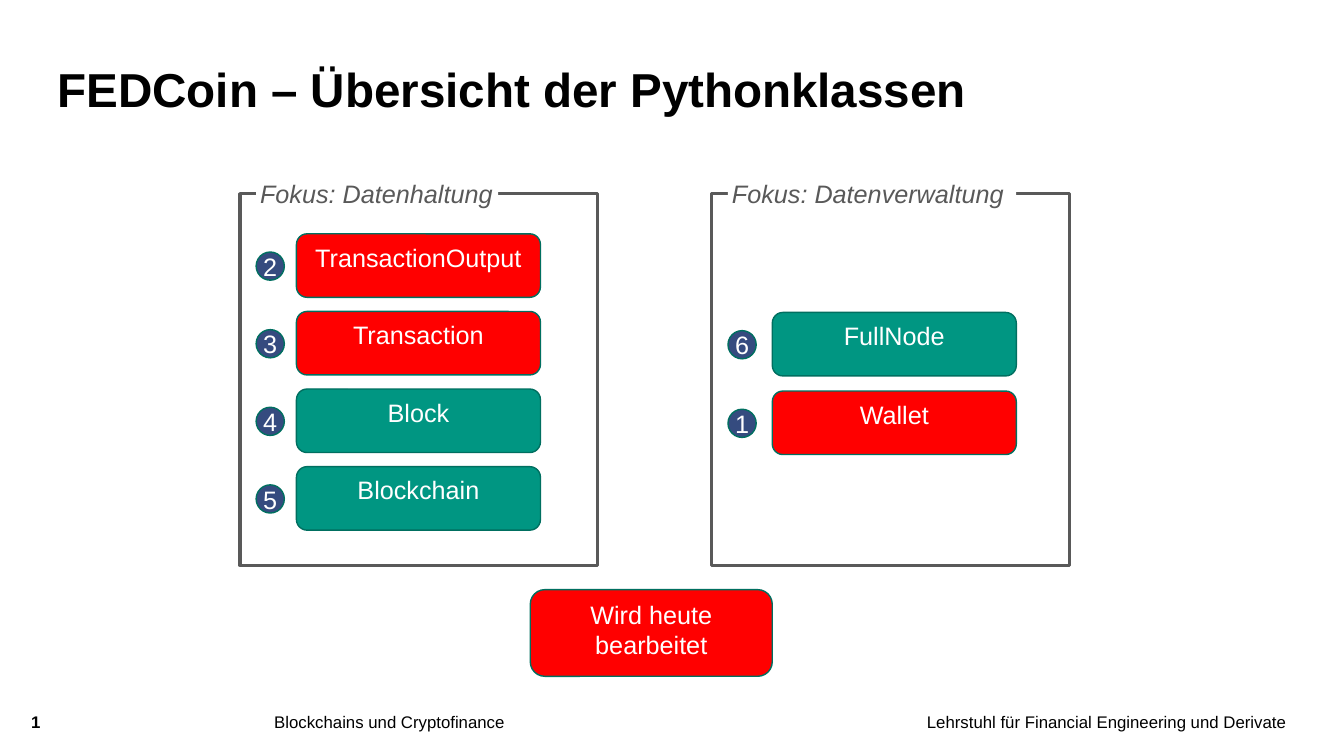
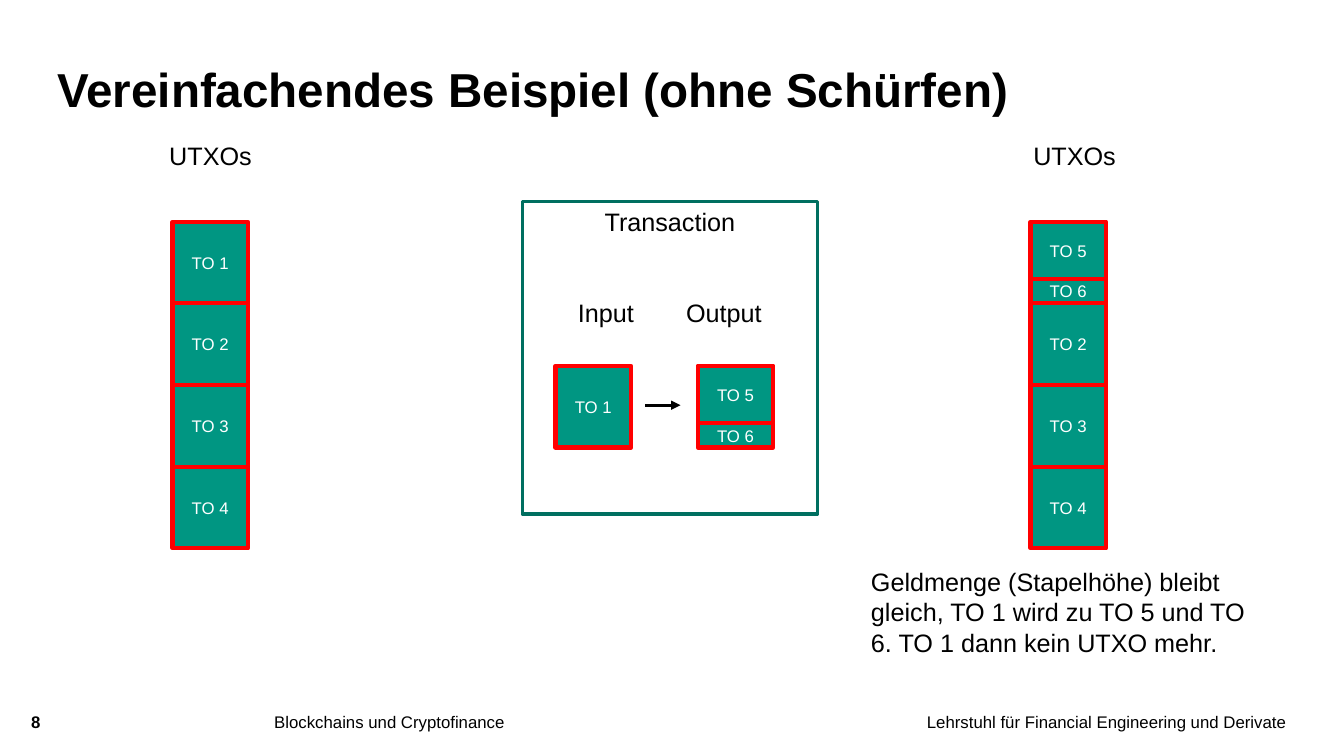
from dataclasses import dataclass
from typing import Any, NamedTuple, Optional

from lxml import etree
from pptx import Presentation
from pptx.dml.color import RGBColor
from pptx.enum.shapes import MSO_CONNECTOR, MSO_SHAPE
from pptx.enum.text import MSO_ANCHOR, PP_ALIGN
from pptx.oxml.ns import qn
from pptx.util import Emu, Pt

EMU_PER_PX = 9144
SLIDE_WIDTH, SLIDE_HEIGHT = 1333, 750

BLACK = RGBColor(0x00, 0x00, 0x00)
WHITE = RGBColor(0xFF, 0xFF, 0xFF)
GREY = RGBColor(0x59, 0x59, 0x59)
RED = RGBColor(0xFF, 0x00, 0x00)
GREEN = RGBColor(0x00, 0x96, 0x82)
DARK_GREEN = RGBColor(0x00, 0x6F, 0x60)
BLUE = RGBColor(0x35, 0x4B, 0x7F)

RECTANGLE = MSO_SHAPE.RECTANGLE
ROUNDED = MSO_SHAPE.ROUNDED_RECTANGLE
OVAL = MSO_SHAPE.OVAL
STRAIGHT = MSO_CONNECTOR.STRAIGHT
LEFT, CENTER, RIGHT = PP_ALIGN.LEFT, PP_ALIGN.CENTER, PP_ALIGN.RIGHT
TOP, MIDDLE, BOTTOM = MSO_ANCHOR.TOP, MSO_ANCHOR.MIDDLE, MSO_ANCHOR.BOTTOM


class Box(NamedTuple):
    left: int
    top: int
    width: int
    height: int


@dataclass(frozen=True)
class TextStyle:
    size: int = 18
    color: RGBColor = BLACK
    bold: bool = False
    italic: bool = False
    align: PP_ALIGN = LEFT
    anchor: MSO_ANCHOR = TOP
    inset_x: int = 10
    inset_y: int = 5
    line_spacing: float = 1.0


@dataclass(frozen=True)
class ShapeStyle:
    text: TextStyle
    kind: MSO_SHAPE = RECTANGLE
    fill: Optional[RGBColor] = None
    line: Optional[RGBColor] = None
    line_width: float = 1


class PythonClass(NamedTuple):
    number: str
    name: str
    today: bool


class Panel(NamedTuple):
    frame: Box
    caption: str
    caption_width: int
    class_left: int
    class_top: int
    pitch: int
    classes: list[PythonClass]


class Output(NamedTuple):
    name: str
    height: int


class Stack(NamedTuple):
    left: int
    top: int
    outputs: list[Output]


class Label(NamedTuple):
    box: Box
    text: str
    style: TextStyle


BODY = TextStyle()
BODY_CENTERED = TextStyle(align=CENTER)
TITLE = TextStyle(size=34, bold=True, anchor=BOTTOM, inset_x=0, inset_y=0, line_spacing=0.9)
FOOTER = TextStyle(size=12, inset_x=0, inset_y=0)
FOOTER_RIGHT = TextStyle(size=12, align=RIGHT, inset_x=0, inset_y=0)
PAGE_NUMBER = TextStyle(size=12, bold=True, inset_x=0, inset_y=0)
CLASS_TEXT = TextStyle(color=WHITE, align=CENTER)

OPEN_CLASS = ShapeStyle(CLASS_TEXT, ROUNDED, GREEN, DARK_GREEN)
TODAY_CLASS = ShapeStyle(CLASS_TEXT, ROUNDED, RED, DARK_GREEN)
BADGE = ShapeStyle(
    TextStyle(color=WHITE, align=CENTER, anchor=MIDDLE, inset_x=0, inset_y=0),
    OVAL, BLUE, DARK_GREEN,
)
FRAME = ShapeStyle(BODY, line=GREY, line_width=2.25)
CAPTION = ShapeStyle(TextStyle(color=GREY, italic=True, inset_x=4, inset_y=4), fill=WHITE)
TRANSACTION = ShapeStyle(BODY_CENTERED, line=DARK_GREEN, line_width=2.25)
OUTPUT = ShapeStyle(
    TextStyle(size=12, color=WHITE, align=CENTER, anchor=MIDDLE),
    fill=GREEN, line=RED, line_width=3,
)

CLASS_WIDTH, CLASS_HEIGHT = 242, 63
BADGE_SIZE, BADGE_DROP = 28, 18
CAPTION_INDENT, CAPTION_RISE, CAPTION_HEIGHT = 16, 19, 38
OUTPUT_WIDTH, OUTPUT_HEIGHT = 75, 81
LARGE_PART = 57
FOOTER_TOP, FOOTER_HEIGHT = 706, 40

PANELS = [
    Panel(Box(238, 192, 355, 369), "Fokus: Datenhaltung", 240, 294, 232, 77, [
        PythonClass("2", "TransactionOutput", True),
        PythonClass("3", "Transaction", True),
        PythonClass("4", "Block", False),
        PythonClass("5", "Blockchain", False),
    ]),
    Panel(Box(706, 192, 355, 369), "Fokus: Datenverwaltung", 286, 766, 310, 78, [
        PythonClass("6", "FullNode", False),
        PythonClass("1", "Wallet", True),
    ]),
]

SPENT = Output("TO 1", OUTPUT_HEIGHT)
CREATED = [Output("TO 5", LARGE_PART), Output("TO 6", OUTPUT_HEIGHT - LARGE_PART)]
UNCHANGED = [Output(f"TO {number}", OUTPUT_HEIGHT) for number in (2, 3, 4)]
STACKS = [
    Stack(171, 220, [SPENT, *UNCHANGED]),
    Stack(551, 363, [SPENT]),
    Stack(692, 363, CREATED),
    Stack(1022, 220, [*CREATED, *UNCHANGED]),
]

EXAMPLE_LABELS = [
    Label(Box(158, 134, 112, 41), "UTXOs", BODY),
    Label(Box(1015, 134, 112, 41), "UTXOs", BODY),
    Label(Box(546, 290, 110, 41), "Input", BODY_CENTERED),
    Label(Box(663, 290, 110, 41), "Output", BODY_CENTERED),
    Label(
        Box(854, 557, 414, 101),
        "Geldmenge (Stapelhöhe) bleibt gleich, TO 1 wird zu TO 5 und TO 6. "
        "TO 1 dann kein UTXO mehr.",
        BODY,
    ),
]


def px(length: int) -> Emu:
    return Emu(length * EMU_PER_PX)


def set_attributes(target: Any, values: dict[str, Any]) -> None:
    for name, value in values.items():
        setattr(target, name, value)


def write_text(shape: Any, text: str, style: TextStyle) -> None:
    frame = shape.text_frame
    set_attributes(frame, {
        "word_wrap": True,
        "vertical_anchor": style.anchor,
        "margin_left": px(style.inset_x),
        "margin_right": px(style.inset_x),
        "margin_top": px(style.inset_y),
        "margin_bottom": px(style.inset_y),
    })
    paragraph = frame.paragraphs[0]
    set_attributes(paragraph, {"alignment": style.align, "line_spacing": style.line_spacing})
    run = paragraph.add_run()
    run.text = text
    set_attributes(run.font, {
        "name": "Arial",
        "size": Pt(style.size),
        "bold": style.bold,
        "italic": style.italic,
    })
    run.font.color.rgb = style.color


def add_label(slide: Any, label: Label) -> None:
    text_box = slide.shapes.add_textbox(*map(px, label.box))
    write_text(text_box, label.text, label.style)


def add_box(slide: Any, box: Box, style: ShapeStyle, text: str = "") -> None:
    shape = slide.shapes.add_shape(style.kind, *map(px, box))
    shape.shadow.inherit = False
    if style.fill is None:
        shape.fill.background()
    else:
        shape.fill.solid()
        shape.fill.fore_color.rgb = style.fill
    if style.line is None:
        shape.line.fill.background()
    else:
        shape.line.color.rgb = style.line
        shape.line.width = Pt(style.line_width)
    if text:
        write_text(shape, text, style.text)


def add_arrow(slide: Any, left: int, right: int, y: int) -> None:
    arrow = slide.shapes.add_connector(STRAIGHT, px(left), px(y), px(right), px(y))
    arrow.line.color.rgb = BLACK
    arrow.line.width = Pt(2.25)
    etree.SubElement(arrow.line._get_or_add_ln(), qn("a:tailEnd"), type="triangle")
    etree.SubElement(arrow._element.spPr, qn("a:effectLst"))


def add_slide(presentation: Any, title: str, number: str) -> Any:
    """Add a blank slide with the shared title and footer."""
    slide = presentation.slides.add_slide(presentation.slide_layouts[6])
    for label in (
        Label(Box(825, FOOTER_TOP, 451, FOOTER_HEIGHT),
              "Lehrstuhl für Financial Engineering und Derivate", FOOTER_RIGHT),
        Label(Box(272, FOOTER_TOP, 544, FOOTER_HEIGHT), "Blockchains und Cryptofinance", FOOTER),
        Label(Box(31, FOOTER_TOP, 48, FOOTER_HEIGHT), number, PAGE_NUMBER),
        Label(Box(57, 48, 1004, 69), title, TITLE),
    ):
        add_label(slide, label)
    return slide


def add_panel(slide: Any, panel: Panel) -> None:
    left, top = panel.frame.left, panel.frame.top
    inner_left = left + CAPTION_INDENT
    add_box(slide, panel.frame, FRAME)
    caption_box = Box(inner_left, top - CAPTION_RISE, panel.caption_width, CAPTION_HEIGHT)
    add_box(slide, caption_box, CAPTION, panel.caption)
    for row, python_class in enumerate(panel.classes):
        class_top = panel.class_top + row * panel.pitch
        class_box = Box(panel.class_left, class_top, CLASS_WIDTH, CLASS_HEIGHT)
        style = TODAY_CLASS if python_class.today else OPEN_CLASS
        add_box(slide, class_box, style, python_class.name)
        badge_box = Box(inner_left, class_top + BADGE_DROP, BADGE_SIZE, BADGE_SIZE)
        add_box(slide, badge_box, BADGE, python_class.number)


def add_stack(slide: Any, stack: Stack) -> None:
    top = stack.top
    for output in stack.outputs:
        add_box(slide, Box(stack.left, top, OUTPUT_WIDTH, output.height), OUTPUT, output.name)
        top += output.height


def add_class_overview(presentation: Any) -> None:
    slide = add_slide(presentation, "FEDCoin – Übersicht der Pythonklassen", "1")
    for panel in PANELS:
        add_panel(slide, panel)
    add_box(slide, Box(526, 585, 240, 86), TODAY_CLASS, "Wird heute bearbeitet")


def add_transaction_example(presentation: Any) -> None:
    slide = add_slide(presentation, "Vereinfachendes Beispiel (ohne Schürfen)", "8")
    add_box(slide, Box(518, 200, 293, 310), TRANSACTION, "Transaction")
    for stack in STACKS:
        add_stack(slide, stack)
    add_arrow(slide, 640, 675, 402)
    for label in EXAMPLE_LABELS:
        add_label(slide, label)


def main() -> None:
    presentation = Presentation()
    set_attributes(presentation, {
        "slide_width": px(SLIDE_WIDTH),
        "slide_height": px(SLIDE_HEIGHT),
    })
    add_class_overview(presentation)
    add_transaction_example(presentation)
    presentation.save("out.pptx")


if __name__ == "__main__":
    main()
